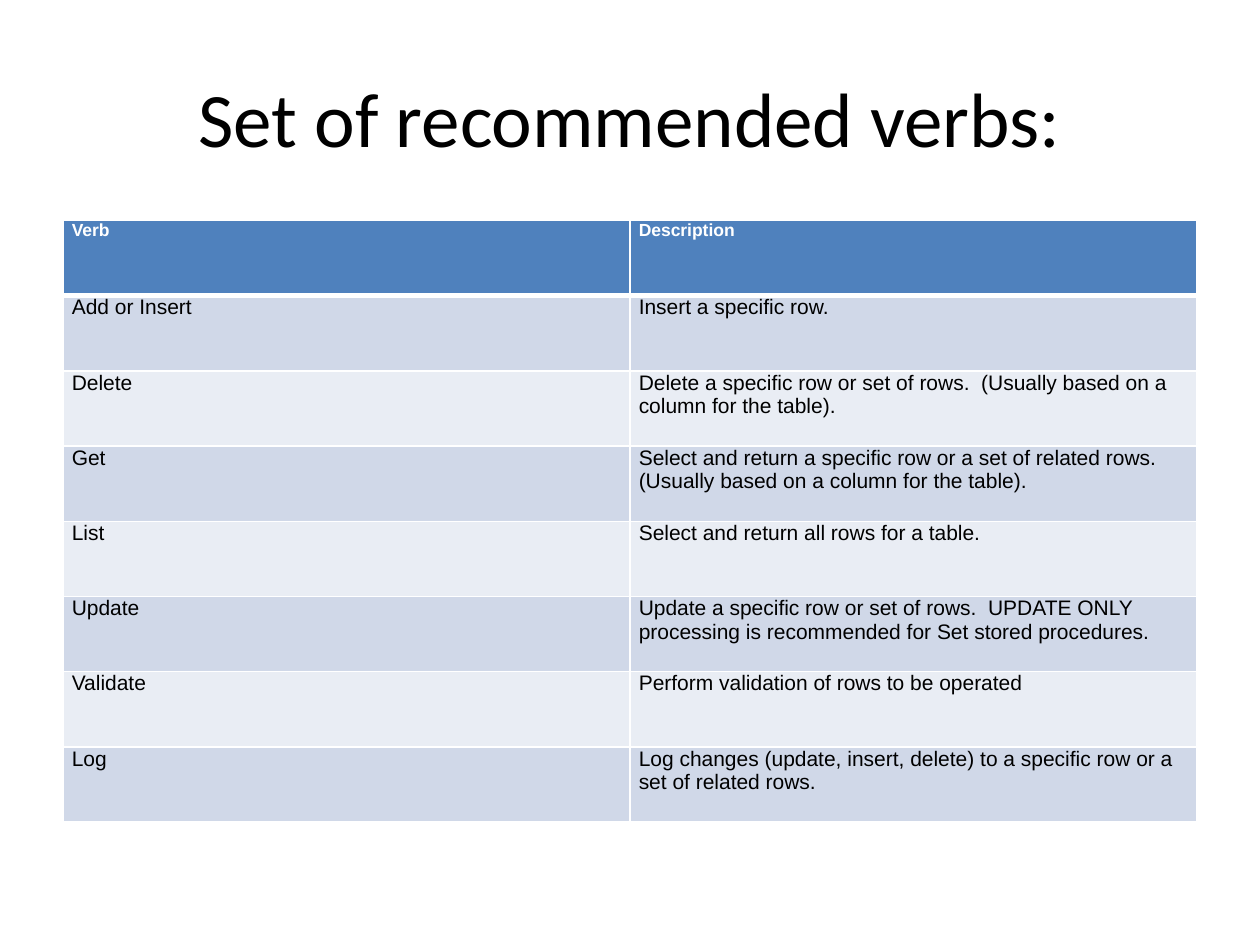
from dataclasses import dataclass

from lxml.etree import SubElement
from pptx import Presentation
from pptx.dml.color import RGBColor as RGB
from pptx.enum.text import MSO_ANCHOR as ANCHOR, PP_ALIGN as ALIGN
from pptx.oxml.ns import qn
from pptx.util import Inches, Pt


@dataclass(frozen=True)
class Theme:
    ink: str = "000000"
    paper: str = "FFFFFF"
    header: str = "4F81BD"
    bands: tuple = ("D0D8E8", "E9EDF4")
    title_font: str = "Calibri"
    table_font: str = "Arial"
    title_size: int = 44
    header_size: int = 10
    body_size: int = 12
    thin: int = 1
    thick: int = 3


class SlideBuilder:
    """Draws styled elements on one slide, placed on a 20 by 30 grid."""

    def __init__(self, prs, theme, cols=20, rows=30):
        self.theme = theme
        self.slide = prs.slides.add_slide(prs.slide_layouts[6])
        self.col, self.row = prs.slide_width / cols, prs.slide_height / rows

    def box(self, x, y, w, h):
        return [round(v) for v in (x * self.col, y * self.row, w * self.col, h * self.row)]

    def add_text(self, tf, text, color, align=ALIGN.LEFT, **fmt):
        p = tf.paragraphs[0]
        p.alignment = align
        r = p.add_run()
        r.text = text
        for name, value in fmt.items():
            setattr(r.font, name, value)
        r.font.color.rgb = RGB.from_string(color)

    def title(self, text, *place):
        t = self.theme
        tf = self.slide.shapes.add_textbox(*self.box(*place)).text_frame
        tf.word_wrap = True
        tf.vertical_anchor = ANCHOR.MIDDLE
        self.add_text(tf, text, t.ink, ALIGN.CENTER, name=t.title_font, size=Pt(t.title_size))

    def border(self, cell, side, width):
        ln = SubElement(cell._tc.get_or_add_tcPr(), qn(f"a:ln{side}"), w=str(Pt(width)))
        fill = SubElement(ln, qn("a:solidFill"))
        SubElement(fill, qn("a:srgbClr"), val=self.theme.paper)

    def cell(self, cell, text, row):
        t = self.theme
        is_header = row == 0
        fmt = {
            "margin_left": Inches(0.07),
            "margin_right": Inches(0.07),
            "margin_top": 0,
            "margin_bottom": 0,
            "vertical_anchor": ANCHOR.TOP,
        }
        for name, value in fmt.items():
            setattr(cell, name, value)
        widths = {
            "L": t.thin,
            "R": t.thin,
            "T": t.thick if row == 1 else t.thin,
            "B": t.thick if is_header else t.thin,
        }
        for side, width in widths.items():
            self.border(cell, side, width)
        cell.fill.solid()
        fill = t.header if is_header else t.bands[(row - 1) % len(t.bands)]
        cell.fill.fore_color.rgb = RGB.from_string(fill)
        self.add_text(
            cell.text_frame,
            text,
            t.paper if is_header else t.ink,
            name=t.table_font,
            size=Pt(t.header_size if is_header else t.body_size),
            bold=is_header,
        )

    def table(self, data, *place):
        frame = self.slide.shapes.add_table(len(data), len(data[0]), *self.box(*place))
        for i, values in enumerate(data):
            for j, text in enumerate(values):
                self.cell(frame.table.cell(i, j), text, i)


VERBS = [
    ("Verb", "Description"),
    ("Add or Insert", "Insert a specific row."),
    ("Delete", "Delete a specific row or set of rows.  (Usually based on a column for the table)."),
    ("Get", "Select and return a specific row or a set of related rows.  "
            "(Usually based on a column for the table)."),
    ("List", "Select and return all rows for a table."),
    ("Update", "Update a specific row or set of rows.  UPDATE ONLY processing "
               "is recommended for Set stored procedures."),
    ("Validate", "Perform validation of rows to be operated"),
    ("Log", "Log changes (update, insert, delete) to a specific row or a set of related rows."),
]


def main():
    prs = Presentation()
    prs.slide_width, prs.slide_height = Inches(10), Inches(7.5)
    s = SlideBuilder(prs, Theme())
    s.title("Set of recommended verbs:", 1, 1.2, 18, 5)
    s.table(VERBS, 1, 7, 18, 19.1)
    prs.save("out.pptx")


if __name__ == "__main__":
    main()
